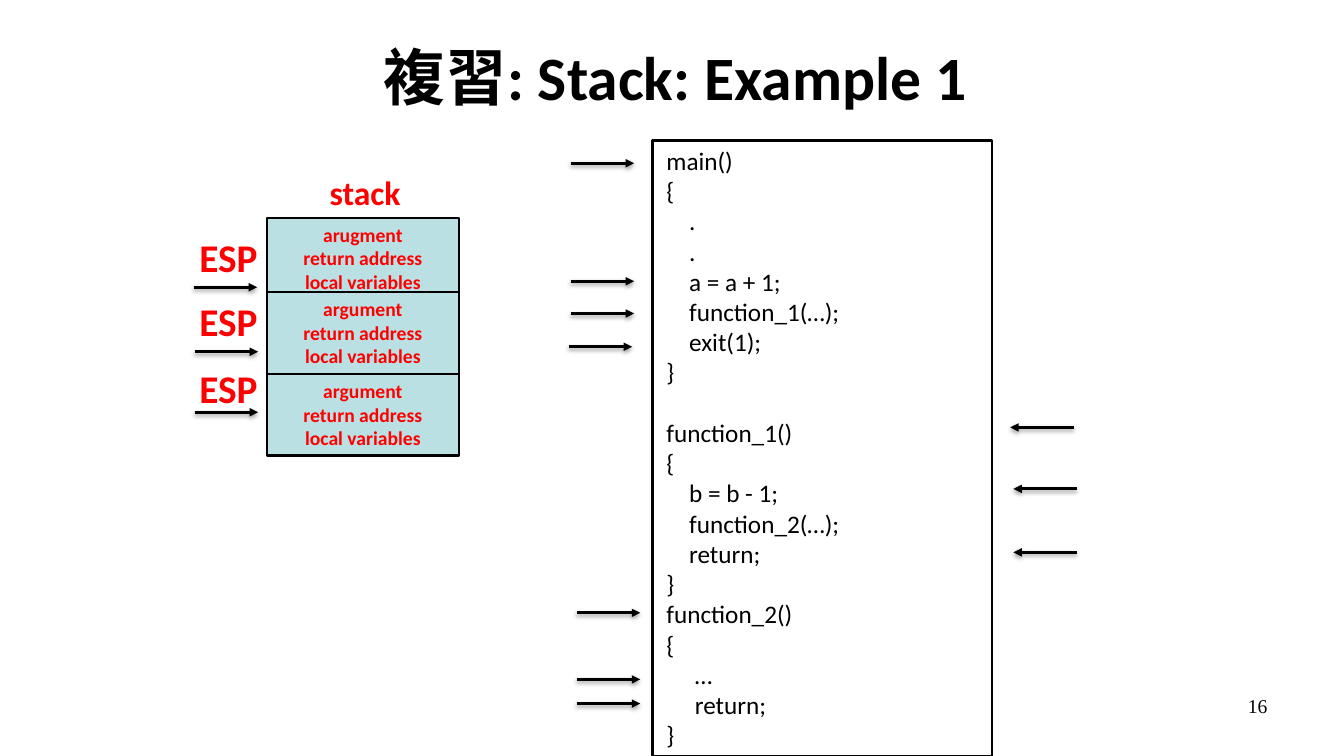
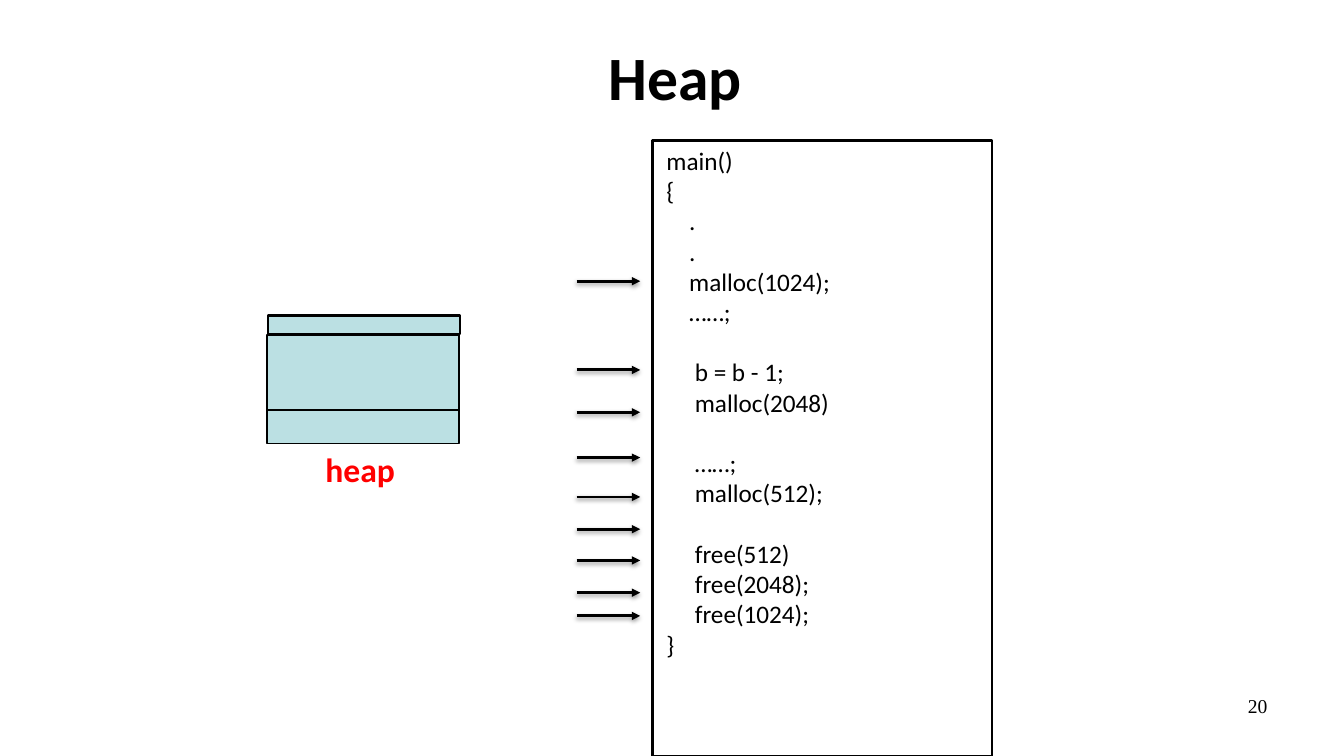
from lxml import etree
from pptx import Presentation
from pptx.dml.color import RGBColor
from pptx.enum.shapes import MSO_CONNECTOR, MSO_SHAPE
from pptx.enum.text import MSO_ANCHOR, MSO_AUTO_SIZE, PP_ALIGN
from pptx.oxml.ns import qn
from pptx.util import Inches, Pt

RECT = MSO_SHAPE.RECTANGLE
LINE = MSO_CONNECTOR.STRAIGHT
TOP, MIDDLE = MSO_ANCHOR.TOP, MSO_ANCHOR.MIDDLE
LEFT, CENTER, RIGHT = PP_ALIGN.LEFT, PP_ALIGN.CENTER, PP_ALIGN.RIGHT
NO_FIT = MSO_AUTO_SIZE.NONE

BLACK, WHITE, RED, TEAL = "000000", "FFFFFF", "FF0000", "BBE0E3"
TITLE_BOX = (1.93, 0.13, 9.54, 1.25)
PAGE_BOX = (9.56, 6.83, 3.11, 0.52)
CODE_BOX = (6.47, 1.39, 3.37, 6.11)
ARROW = 0.63
CODE_STEP = 21.6

STACK_CODE = """main()
{
    .
    .
    a = a + 1;
    function_1(…);
    exit(1);
}

function_1()
{
    b = b - 1;
    function_2(…);
    return;
}
function_2()
{
     …
     return;
}"""

HEAP_CODE = """main()
{
    .
    .
    malloc(1024);
    ……;

     b = b - 1;
     malloc(2048)

     ……;
     malloc(512);

     free(512)
     free(2048);
     free(1024);
}"""


def color(value):
    return RGBColor.from_string(value)


def inches(box):
    return [Inches(n) for n in box]


def write(frame, text, size=18, ink=BLACK, bold=False, font="Calibri",
          align=LEFT, anchor=TOP, wrap=True, gap=0):
    frame.word_wrap = wrap
    frame.auto_size = NO_FIT
    frame.vertical_anchor = anchor
    first, space = True, 0
    for line in text.split("\n"):
        if not line:
            space += gap
            continue
        par = frame.paragraphs[0] if first else frame.add_paragraph()
        par.text = line
        par.alignment = align
        if not first:
            par.space_before = Pt(space)
        par.font.size = Pt(size)
        par.font.name = font
        par.font.bold = bold
        par.font.color.rgb = color(ink)
        first, space = False, 0


def label(slide, box, text, **style):
    frame = slide.shapes.add_textbox(*inches(box)).text_frame
    write(frame, text, **style)


def block(slide, box, fill, width):
    shape = slide.shapes.add_shape(RECT, *inches(box))
    shape.shadow.inherit = False
    shape.fill.solid()
    shape.fill.fore_color.rgb = color(fill)
    shape.line.color.rgb = color(BLACK)
    shape.line.width = Pt(width)
    return shape


def arrow(slide, left, top, back=False):
    ends = (left + ARROW, left) if back else (left, left + ARROW)
    line = slide.shapes.add_connector(
        LINE, *inches((ends[0], top, ends[1], top)))
    line.line.color.rgb = color(BLACK)
    line.line.width = Pt(2)
    props = line._element.spPr
    etree.SubElement(props.find(qn("a:ln")), qn("a:tailEnd"), type="triangle")
    effects = etree.SubElement(props, qn("a:effectLst"))
    shade = etree.SubElement(effects, qn("a:outerShdw"), blurRad="40000",
                             dist="20000", dir="5400000", rotWithShape="0")
    ink = etree.SubElement(shade, qn("a:srgbClr"), val=BLACK)
    etree.SubElement(ink, qn("a:alpha"), val="38000")


def start(deck, title, page):
    slide = deck.slides.add_slide(deck.slide_layouts[5])
    head = slide.shapes.title
    head.left, head.top, head.width, head.height = inches(TITLE_BOX)
    write(head.text_frame, title, size=44, bold=True, align=CENTER,
          anchor=MIDDLE)
    label(slide, PAGE_BOX, page, size=14, font="Times New Roman", align=RIGHT)
    return slide


def code(slide, box, text, marks, backs=()):
    left, top = box[:2]
    panel = block(slide, box, WHITE, 2)
    panel.text_frame.margin_left = Inches(0.14)
    write(panel.text_frame, text, gap=CODE_STEP)
    for x, y in marks:
        arrow(slide, left + x, top + y)
    for x, y in backs:
        arrow(slide, left + x, top + y, back=True)


def stack(slide, box):
    left, top, width, height = box
    label(slide, (left + 0.52, top - 0.5, 0.94, 0.5), "stack",
          size=24, ink=RED, bold=True, wrap=False)
    frames = ((0, 1.25, "arugment"), (0.74, 1.5, "argument"),
              (1.55, 1.5, "argument"))
    for y, edge, word in frames:
        shape = block(slide, (left, top + y, width, height), TEAL, edge)
        write(shape.text_frame, word + "\nreturn address\nlocal variables",
              size=14, ink=RED, bold=True, align=CENTER)
    for text_y, x, line_y in ((0.11, 0.73, 0.69), (0.74, 0.72, 1.33),
                              (1.41, 0.72, 1.93)):
        label(slide, (left - 0.77, top + text_y, 1.02, 0.57), "ESP",
              size=28, ink=RED, bold=True)
        arrow(slide, left - x, top + line_y)


def heap(slide, box):
    left, top, width = box
    for x, y, height, edge in ((0, 0.93, 0.34, 1.25), (0, 0.19, 0.75, 1.5),
                               (0.01, 0, 0.18, 1.5)):
        block(slide, (left + x, top + y, width, height), TEAL, edge)
    label(slide, (left + 0.48, top + 1.27, 0.94, 0.5), "heap",
          size=24, ink=RED, bold=True, wrap=False)


def main():
    deck = Presentation()
    deck.slide_width, deck.slide_height = Inches(13.33), Inches(7.5)

    slide = start(deck, "複習: Stack: Example 1", "16")
    marks = ((-0.81, 0.23), (-0.81, 1.4), (-0.81, 1.72), (-0.83, 2.05),
             (-0.75, 4.69), (-0.75, 5.35), (-0.75, 5.59))
    backs = ((3.55, 2.85), (3.58, 3.46), (3.58, 4.09))
    code(slide, CODE_BOX, STACK_CODE, marks, backs)
    stack(slide, (2.65, 2.16, 1.9, 0.81))

    slide = start(deck, "Heap", "20")
    steps = (1.4, 2.28, 2.7, 3.15, 3.54, 3.86, 4.17, 4.49, 4.72)
    code(slide, CODE_BOX, HEAP_CODE, [(-0.75, y) for y in steps])
    heap(slide, (2.65, 3.13, 1.9))

    deck.save("out.pptx")


if __name__ == "__main__":
    main()
